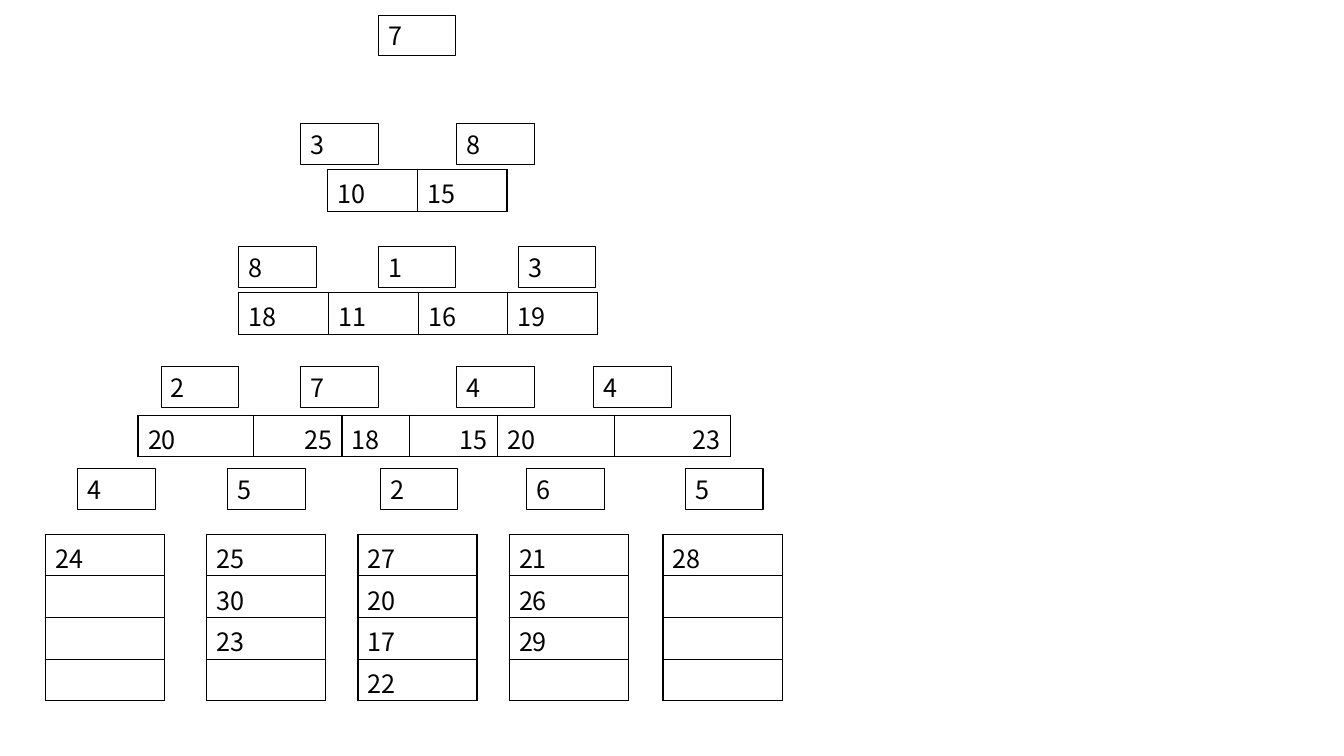
from dataclasses import dataclass

from lxml import etree
from pptx import Presentation
from pptx import util as u
from pptx.dml.color import RGBColor
from pptx.enum import shapes, text
from pptx.oxml.ns import qn


@dataclass(frozen=True)
class Theme:
    """Colours, type and line widths of the slide."""
    font: str = "Noto Sans CJK KR"
    size: int = 18
    ink: str = "000000"
    paper: str = "FFFFFF"
    box_line: float = 0.75
    cell_line: float = 1


THEME = Theme()
BOX_W, ROW_H = 1.96, 1.03
PAD_X, PAD_TOP = 0.25, 0.13
LEFT, RIGHT = text.PP_ALIGN.LEFT, text.PP_ALIGN.RIGHT

# Each level: top, then (left, value) of its boxes, in cm
LEVELS = [
    (0.38, [(9.53, 7)]),
    (3.12, [(7.57, 3), (11.5, 8)]),
    (6.22, [(6.02, 8), (9.53, 1), (13.06, 3)]),
    (9.24, [(4.06, 2), (7.57, 7), (11.5, 4), (14.96, 4)]),
    (11.81, [(1.96, 4), (5.74, 5), (9.58, 2), (13.28, 6), (17.27, 5)]),
]

# Path sums between levels: left, top, column widths, values, alignments
SUM_ROWS = [
    (8.26, 4.27, [2.26] * 2, [10, 15], [LEFT] * 2),
    (6.02, 7.37, [2.26] * 4, [18, 11, 16, 19], [LEFT] * 4),
    (3.48, 10.46, [2.9, 2.24, 1.7, 2.21, 2.95, 2.92],
     [20, 25, 18, 15, 20, 23], [LEFT, RIGHT] * 3),
]

# Path sums under the last level: left, values
STACK_TOP, STACK_W, STACK_ROWS = 13.46, 3, 4
STACKS = [
    (1.14, [24]),
    (5.21, [25, 30, 23]),
    (9.02, [27, 20, 17, 22]),
    (12.83, [21, 26, 29]),
    (16.71, [28]),
]


def write(tf, value, align=LEFT):
    """Put one value in a text frame in the theme's type."""
    p = tf.paragraphs[0]
    p.text = str(value)
    p.alignment = align
    p.font.name = THEME.font
    p.font.size = u.Pt(THEME.size)
    p.font.bold = False
    p.font.color.rgb = RGBColor.from_string(THEME.ink)


def add_box(s, left, top, value):
    """Add an outlined box holding one number of the triangle."""
    sp = s.shapes.add_shape(shapes.MSO_SHAPE.RECTANGLE, u.Cm(left), u.Cm(top),
                            u.Cm(BOX_W), u.Cm(ROW_H))
    sp.shadow.inherit = False
    sp.fill.solid()
    sp.fill.fore_color.rgb = RGBColor.from_string(THEME.paper)
    sp.line.color.rgb = RGBColor.from_string(THEME.ink)
    sp.line.width = u.Pt(THEME.box_line)
    tf = sp.text_frame
    tf.word_wrap = True
    tf.margin_left = tf.margin_right = u.Cm(PAD_X)
    tf.margin_top = tf.margin_bottom = 0
    tf.vertical_anchor = text.MSO_ANCHOR.MIDDLE
    write(tf, value)


def add_borders(cell):
    """Draw a line on all four sides of a cell."""
    tc_pr = cell._tc.get_or_add_tcPr()
    for i, side in enumerate("LRTB"):
        ln = etree.Element(qn(f"a:ln{side}"), w=str(u.Pt(THEME.cell_line)))
        fill = etree.SubElement(ln, qn("a:solidFill"))
        etree.SubElement(fill, qn("a:srgbClr"), val=THEME.ink)
        tc_pr.insert(i, ln)


def add_grid(s, left, top, widths, rows, aligns):
    """Add a bordered table; rows is a list of lists of values."""
    frame = s.shapes.add_table(len(rows), len(widths), u.Cm(left), u.Cm(top),
                               u.Cm(sum(widths)), u.Cm(ROW_H * len(rows)))
    table = frame.table
    table.first_row = table.horz_banding = False
    for col, width in zip(table.columns, widths):
        col.width = u.Cm(width)
    for r, values in enumerate(rows):
        table.rows[r].height = u.Cm(ROW_H)
        for c, value in enumerate(values):
            cell = table.cell(r, c)
            cell.fill.background()
            cell.margin_left = cell.margin_right = u.Cm(PAD_X)
            cell.margin_top, cell.margin_bottom = u.Cm(PAD_TOP), 0
            add_borders(cell)
            write(cell.text_frame, value, aligns[c])


def main():
    """Build the number triangle with its path sums."""
    prs = Presentation()
    prs.slide_width, prs.slide_height = u.Cm(33.87), u.Cm(19.05)
    s = prs.slides.add_slide(prs.slide_layouts[6])
    for top, boxes in LEVELS:
        for left, value in boxes:
            add_box(s, left, top, value)
    for left, top, widths, values, aligns in SUM_ROWS:
        add_grid(s, left, top, widths, [values], aligns)
    for left, values in STACKS:
        padded = values + [""] * (STACK_ROWS - len(values))
        add_grid(s, left, STACK_TOP, [STACK_W], [[v] for v in padded], [LEFT])
    prs.save("out.pptx")


main()
